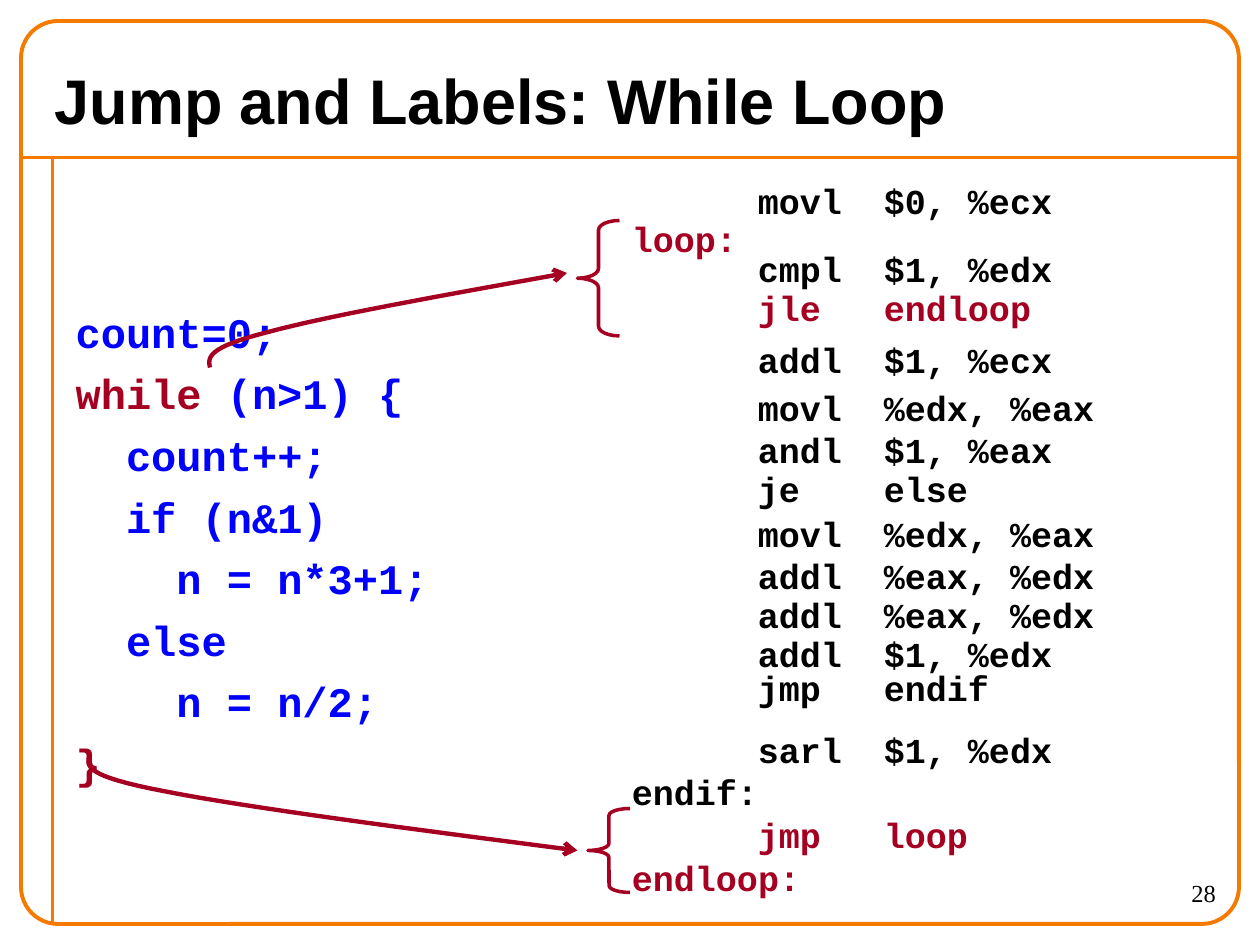
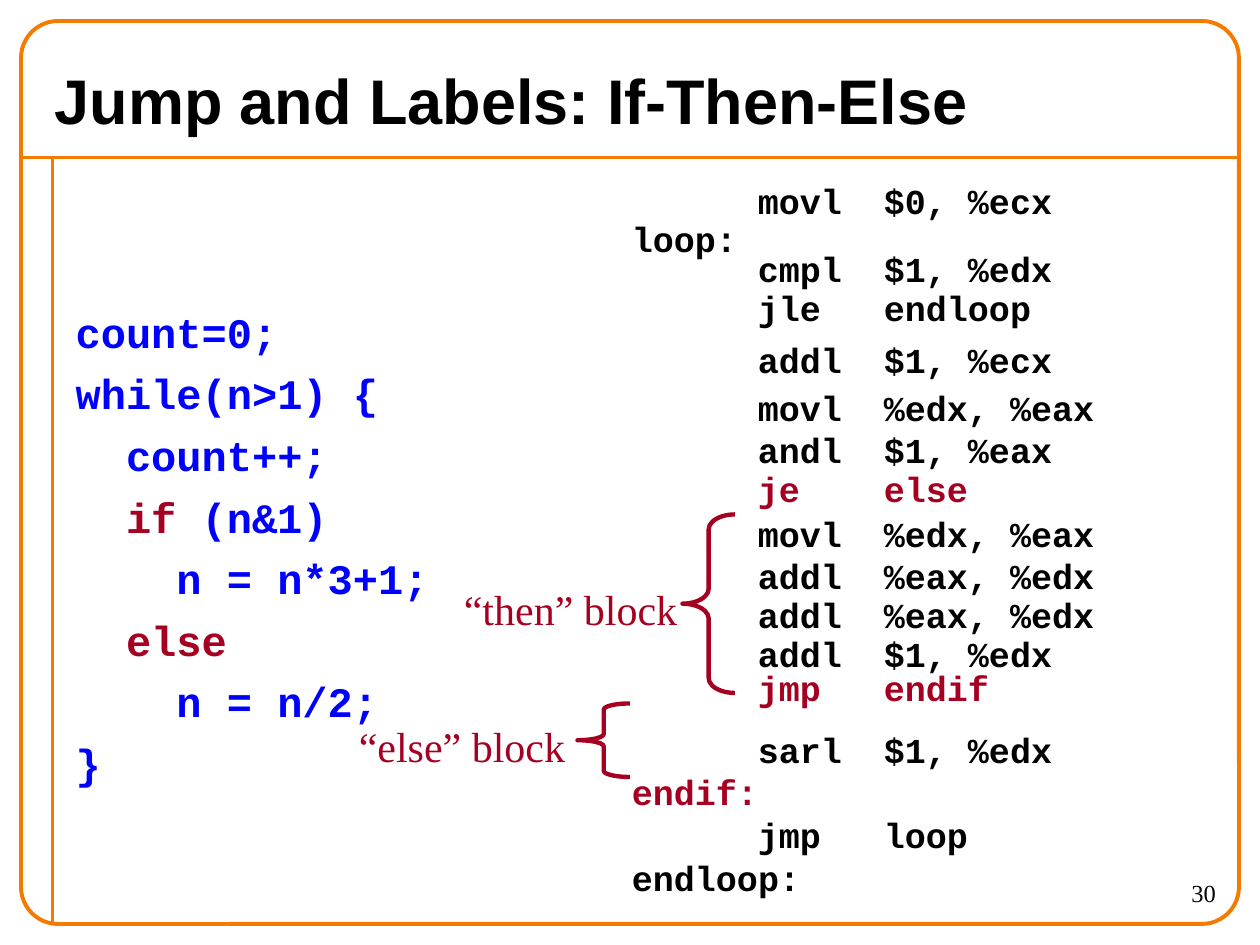
from dataclasses import dataclass

from lxml import etree
from pptx import Presentation
from pptx.dml.color import RGBColor
from pptx.enum.shapes import MSO_CONNECTOR, MSO_SHAPE
from pptx.enum.text import MSO_ANCHOR, MSO_AUTO_SIZE, PP_ALIGN
from pptx.oxml.ns import qn
from pptx.util import Pt

ORANGE = RGBColor(0xF4, 0x7A, 0x00)
RED = RGBColor(0xA5, 0x00, 0x21)
BLUE = RGBColor(0x00, 0x00, 0xFF)
BLACK = RGBColor(0x00, 0x00, 0x00)

STRAIGHT = MSO_CONNECTOR.STRAIGHT
ROUNDED_RECTANGLE = MSO_SHAPE.ROUNDED_RECTANGLE
LEFT_BRACE = MSO_SHAPE.LEFT_BRACE
MIDDLE, TOP = MSO_ANCHOR.MIDDLE, MSO_ANCHOR.TOP
NO_AUTOFIT = MSO_AUTO_SIZE.NONE
ALIGN_LEFT, ALIGN_RIGHT = PP_ALIGN.LEFT, PP_ALIGN.RIGHT

TITLE_FONT, CODE_FONT, LABEL_FONT = "Arial", "Courier New", "Times New Roman"
FRAME_LINE = 2.25
ASSEMBLY_LEFT, ASSEMBLY_WIDTH = 354, 336
ASSEMBLY_INSET = 8.8
ASSEMBLY_GAP = 12.5
SOURCE_INSET = 87
SOURCE_GAP = 15
CURVE_STEPS = 16


@dataclass
class AssemblyBlock:
    top: float
    height: float
    lines: list[tuple[str, float]]
    first_tab_size: int = 24


@dataclass
class Brace:
    left: float
    top: float
    width: float
    height: float
    line_width: float


@dataclass
class CurvedArrow:
    start: tuple[float, float]
    curves: list[tuple]


@dataclass
class Label:
    text: str
    left: float
    top: float
    width: float


@dataclass
class LoopSlide:
    title: str
    number: int
    while_line: str
    source_marks: tuple[str, ...]
    assembly_marks: tuple[str, ...]
    braces: list[Brace]
    arrows: list[CurvedArrow]
    labels: list[Label]


ASSEMBLY = [
    AssemblyBlock(90, 36, [("\tmovl\t$0, %ecx", 1.0)]),
    AssemblyBlock(126, 59, [("loop:", 0.5), ("\tcmpl\t$1, %edx", 0.1),
                            ("\tjle\tendloop", 0.5)], 20),
    AssemblyBlock(186, 30, [("\taddl\t$1, %ecx", 0.8)]),
    AssemblyBlock(216, 72, [("\tmovl\t%edx, %eax", 0.7), ("\tandl\t$1, %eax", 0.4),
                            ("\tje\telse", 0.4)]),
    AssemblyBlock(288, 93.6, [("\tmovl\t%edx, %eax", 0.7), ("\taddl\t%eax, %edx", 0.4),
                              ("\taddl\t%eax, %edx", 0.4), ("\taddl\t$1, %edx", 0.4)]),
    AssemblyBlock(376, 40, [("\tjmp\tendif", 0.7)]),
    AssemblyBlock(413.5, 24.5, [("\tsarl\t$1, %edx", 0.6)]),
    AssemblyBlock(438, 24.5, [("endif:", 0.7)]),
    AssemblyBlock(466.5, 44, [("\tjmp\tloop", 0.5), ("endloop:", 0.5)], 20),
]

SLIDES = [
    LoopSlide(
        "Jump and Labels: While Loop", 28, "while (n>1) {",
        ("while", "}"),
        ("endloop:", "loop:", "jle\tendloop", "jmp\tloop"),
        [Brace(330, 126, 24, 66, 2), Brace(336, 462, 24, 48, 2)],
        [CurvedArrow((120, 210), [
            ((118.8, 204.5), (118.1, 198.7), (151.9, 190.1)),
            ((185.8, 180.7), (254.9, 168.5), (324, 156))]),
         CurvedArrow((51, 432), [
             ((49.7, 437.8), (48.2, 443.5), (94.3, 452.2)),
             ((141.1, 461.5), (235.4, 473.8), (330, 486))])],
        []),
    LoopSlide(
        "Jump and Labels: If-Then-Else", 30, "while(n>1) {",
        ("if", "else"),
        ("je\telse", "jmp\tendif", "endif:"),
        [Brace(390, 294, 30, 102, 2.5), Brace(330, 402, 30, 42, 2.5)],
        [],
        [Label("“then” block", 258, 330, 136), Label("“else” block", 198, 408, 132.5)]),
]


def style_font(font, name: str, size: float, color: RGBColor, bold: bool = False) -> None:
    font.name = name
    font.size = Pt(size)
    font.color.rgb = color
    font.bold = bold


def add_text_box(slide, left: float, top: float, width: float, height: float):
    shape = slide.shapes.add_textbox(Pt(left), Pt(top), Pt(width), Pt(height))
    text_frame = shape.text_frame
    text_frame.word_wrap = True
    text_frame.auto_size = NO_AUTOFIT
    text_frame.vertical_anchor = TOP
    return text_frame


def place_placeholder(shape, left: float, top: float, width: float, height: float):
    shape.left, shape.top = Pt(left), Pt(top)
    shape.width, shape.height = Pt(width), Pt(height)
    shape.text_frame.auto_size = NO_AUTOFIT
    return shape.text_frame


def split_marked(text: str, marks: tuple[str, ...]) -> list[tuple[str, bool]]:
    mark = next((mark for mark in marks if mark in text), None)
    if mark is None:
        return [(text, False)]
    before, _, after = text.partition(mark)
    return [(piece, piece == mark) for piece in (before, mark, after) if piece]


def add_code_runs(paragraph, text: str, marks: tuple[str, ...], size: float,
                  color: RGBColor) -> None:
    for piece, marked in split_marked(text, marks):
        run = paragraph.add_run()
        run.text = piece
        style_font(run.font, CODE_FONT, size, RED if marked else color, True)


def next_paragraph(text_frame, index: int, gap: float, line_spacing: float):
    paragraph = text_frame.paragraphs[0] if index == 0 else text_frame.add_paragraph()
    paragraph.space_before = Pt(gap if index else 0)
    paragraph.line_spacing = line_spacing
    return paragraph


def add_title(slide, text: str) -> None:
    text_frame = place_placeholder(slide.shapes.title, 24, 30, 672, 54)
    text_frame.text = text
    text_frame.vertical_anchor = MIDDLE
    paragraph = text_frame.paragraphs[0]
    paragraph.alignment = ALIGN_LEFT
    style_font(paragraph.runs[0].font, TITLE_FONT, 36, BLACK, True)


def add_source_code(slide, while_line: str, marks: tuple[str, ...]) -> None:
    text_frame = place_placeholder(slide.placeholders[1], 36, 96, 246, 432)
    text_frame.margin_top = Pt(SOURCE_INSET)
    text_frame.vertical_anchor = TOP
    lines = ["count=0;", while_line, "  count++;", "  if (n&1)",
             "    n = n*3+1;", "  else", "    n = n/2;", "}"]
    for index, line in enumerate(lines):
        paragraph = next_paragraph(text_frame, index, SOURCE_GAP, 0.7)
        properties = paragraph._p.get_or_add_pPr()
        properties.set("marL", "0")
        properties.set("indent", "0")
        etree.SubElement(properties, qn("a:buNone"))
        add_code_runs(paragraph, line, marks, 24, BLUE)


def add_tab_stops(paragraph) -> None:
    tab_list = etree.SubElement(paragraph._p.get_or_add_pPr(), qn("a:tabLst"))
    for position in (72, 144):
        etree.SubElement(tab_list, qn("a:tab"), pos=str(Pt(position)), algn="l")


def add_assembly_block(slide, block: AssemblyBlock, marks: tuple[str, ...]) -> None:
    text_frame = add_text_box(slide, ASSEMBLY_LEFT, block.top, ASSEMBLY_WIDTH, block.height)
    text_frame.margin_top = Pt(ASSEMBLY_INSET)
    for index, (line, line_spacing) in enumerate(block.lines):
        paragraph = next_paragraph(text_frame, index, ASSEMBLY_GAP, line_spacing)
        add_tab_stops(paragraph)
        if line.startswith("\t"):
            tab_size = block.first_tab_size if index == 0 else 20
            add_code_runs(paragraph, "\t", (), tab_size, BLACK)
        add_code_runs(paragraph, line.lstrip("\t"), marks, 20, BLACK)


def style_outline(shape, color: RGBColor, width: float) -> None:
    shape.shadow.inherit = False
    shape.fill.background()
    shape.line.color.rgb = color
    shape.line.width = Pt(width)


def add_brace(slide, brace: Brace) -> None:
    shape = slide.shapes.add_shape(LEFT_BRACE, Pt(brace.left), Pt(brace.top),
                                   Pt(brace.width), Pt(brace.height))
    shape.adjustments[0] = brace.height / 12 / min(brace.width, brace.height)
    style_outline(shape, RED, brace.line_width)


def curve_points(arrow: CurvedArrow) -> list[tuple[int, int]]:
    points = []
    start = arrow.start
    for first, second, end in arrow.curves:
        for step in range(1, CURVE_STEPS + 1):
            t = step / CURVE_STEPS
            s = 1 - t
            points.append(tuple(
                Pt(s**3 * a + 3 * s * s * t * b + 3 * s * t * t * c + t**3 * d)
                for a, b, c, d in zip(start, first, second, end)))
        start = end
    return points


def add_curved_arrow(slide, arrow: CurvedArrow) -> None:
    left, top = arrow.start
    builder = slide.shapes.build_freeform(Pt(left), Pt(top))
    builder.add_line_segments(curve_points(arrow), close=False)
    shape = builder.convert_to_shape()
    style_outline(shape, RED, 2.5)
    etree.SubElement(shape.element.spPr.find(qn("a:ln")), qn("a:tailEnd"), type="arrow")


def add_label(slide, label: Label) -> None:
    text_frame = add_text_box(slide, label.left, label.top, label.width, 36)
    text_frame.word_wrap = False
    text_frame.text = label.text
    style_font(text_frame.paragraphs[0].runs[0].font, LABEL_FONT, 24, RED)


def add_slide_number(slide, number: int) -> None:
    text_frame = add_text_box(slide, 630, 498, 72, 30)
    text_frame.text = str(number)
    paragraph = text_frame.paragraphs[0]
    paragraph.alignment = ALIGN_RIGHT
    style_font(paragraph.runs[0].font, LABEL_FONT, 14, BLACK)


def move_frame_to_layout(slide, layout) -> None:
    frame = slide.shapes.add_shape(ROUNDED_RECTANGLE, Pt(12), Pt(12), Pt(696), Pt(516))
    frame.adjustments[0] = 0.041
    style_outline(frame, ORANGE, FRAME_LINE)
    rules = []
    for start_x, end_x, end_y in ((12, 708, 90), (30, 30, 528)):
        rule = slide.shapes.add_connector(STRAIGHT, Pt(start_x), Pt(90), Pt(end_x), Pt(end_y))
        rule.line.color.rgb = ORANGE
        rule.line.width = Pt(FRAME_LINE)
        etree.SubElement(rule.element.spPr, qn("a:effectLst"))
        rules.append(rule)
    for shape in (*rules, frame):
        layout.shapes.element.append(shape.element)


def build_slide(presentation, layout, content: LoopSlide):
    slide = presentation.slides.add_slide(layout)
    add_title(slide, content.title)
    add_source_code(slide, content.while_line, content.source_marks)
    add_slide_number(slide, content.number)
    for block in ASSEMBLY:
        add_assembly_block(slide, block, content.assembly_marks)
    for brace in content.braces:
        add_brace(slide, brace)
    for arrow in content.arrows:
        add_curved_arrow(slide, arrow)
    for label in content.labels:
        add_label(slide, label)
    return slide


def main() -> None:
    presentation = Presentation()
    presentation.slide_width, presentation.slide_height = Pt(720), Pt(540)
    layout = presentation.slide_layouts[1]
    slides = [build_slide(presentation, layout, content) for content in SLIDES]
    move_frame_to_layout(slides[0], layout)
    presentation.save("out.pptx")


if __name__ == "__main__":
    main()
